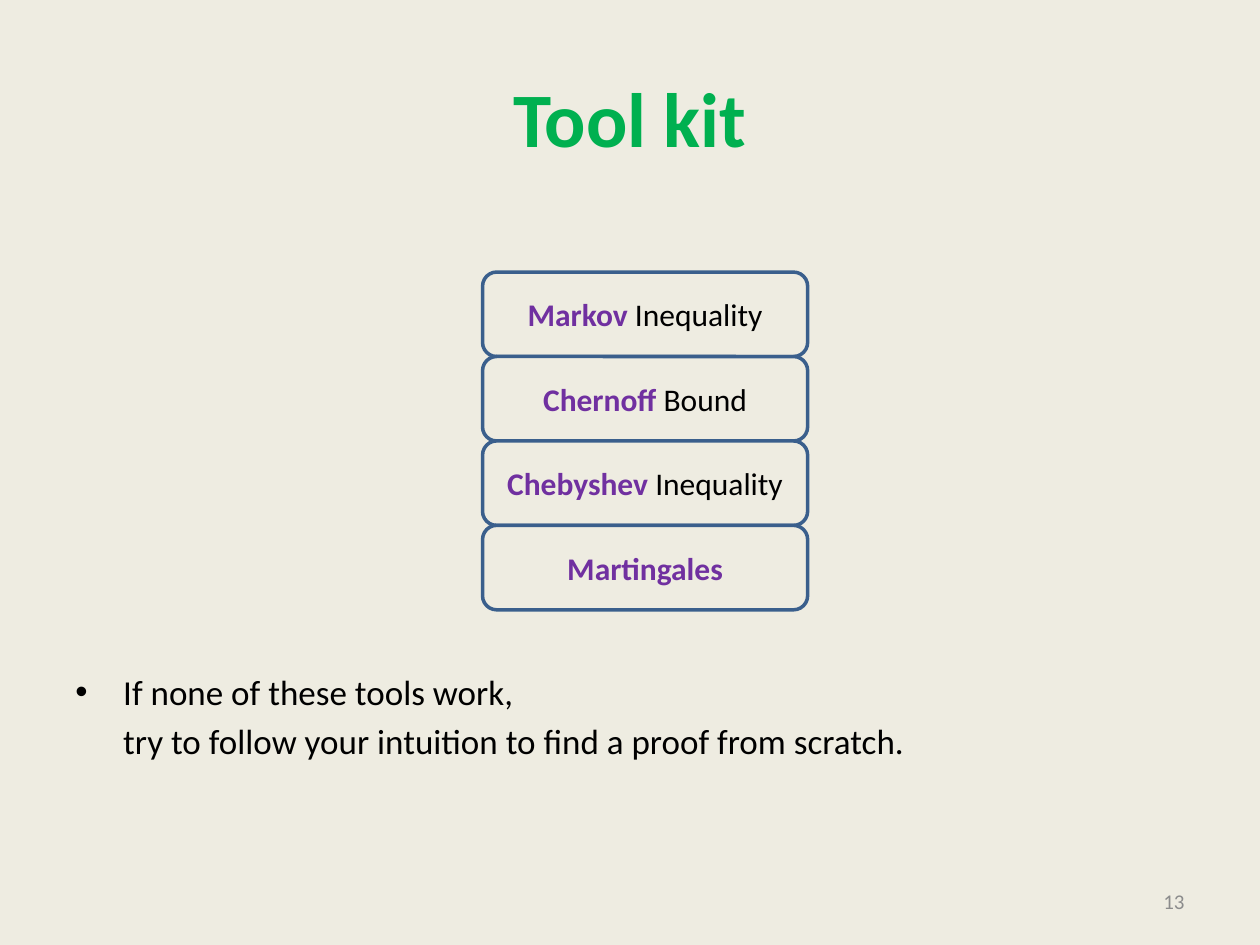
import pptx
import pptx.dml.color
import pptx.enum.shapes
import pptx.enum.text
import pptx.oxml
import pptx.oxml.ns
import pptx.util
from pptx.util import Inches

# Content
TITLE = "Tool kit"
TOOLS = [("Markov", " Inequality"), ("Chernoff", " Bound"),
         ("Chebyshev", " Inequality"), ("Martingales", "")]
ADVICE = ["If none of these tools work,",
          "try to follow your intuition to find a proof from scratch."]
PAGE_NUMBER = "13"

COLORS = {"background": "EEECE1", "title": "00B050", "name": "7030A0",
          "text": "000000", "outline": "3A5F8C", "number": "8C8C8C"}
FONT = "Calibri"
TOOL_LEFT, TOOL_TOP, TOOL_WIDTH, TOOL_HEIGHT = 3.83, 2.16, 2.58, 0.67
BULLET_INDENT = 0.38

ALIGN = pptx.enum.text.PP_ALIGN
ANCHOR = pptx.enum.text.MSO_ANCHOR


def rgb(name):
    return pptx.dml.color.RGBColor.from_string(COLORS[name])


def style(font, size, color, bold=False):
    font.name = FONT
    font.size = pptx.util.Pt(size)
    font.bold = bold
    font.color.rgb = rgb(color)


def add_text(slide, box, lines, size, color, align, anchor, bold=False):
    text_box = slide.shapes.add_textbox(*map(Inches, box))
    text_frame = text_box.text_frame
    text_frame.word_wrap = True
    text_frame.vertical_anchor = anchor
    text_frame.text = "\n".join(lines)
    for paragraph in text_frame.paragraphs:
        paragraph.alignment = align
        for run in paragraph.runs:
            style(run.font, size, color, bold)
    return text_frame


def add_tool(slide, index, name, kind):
    shape = slide.shapes.add_shape(
        pptx.enum.shapes.MSO_SHAPE.ROUNDED_RECTANGLE,
        Inches(TOOL_LEFT), Inches(TOOL_TOP + index * TOOL_HEIGHT),
        Inches(TOOL_WIDTH), Inches(TOOL_HEIGHT))
    shape.shadow.inherit = False
    shape.fill.solid()
    shape.fill.fore_color.rgb = rgb("background")
    shape.line.color.rgb = rgb("outline")
    shape.line.width = pptx.util.Pt(2)
    shape.text_frame.vertical_anchor = ANCHOR.MIDDLE
    paragraph = shape.text_frame.paragraphs[0]
    paragraph.alignment = ALIGN.CENTER
    for text, color, bold in ((name, "name", True), (kind, "text", False)):
        if text:
            run = paragraph.add_run()
            run.text = text
            style(run.font, 18, color, bold)


def main():
    presentation = pptx.Presentation()
    presentation.slide_width = Inches(10)
    presentation.slide_height = Inches(7.5)
    slide = presentation.slides.add_slide(presentation.slide_layouts[6])
    slide.background.fill.solid()
    slide.background.fill.fore_color.rgb = rgb("background")

    # Title
    add_text(slide, (0.5, 0.3, 9, 1.25), [TITLE], 44, "title",
             ALIGN.CENTER, ANCHOR.MIDDLE, bold=True)

    # Advice: a bulleted line and its continuation at the same indent
    advice = add_text(slide, (0.5, 5.27, 9, 1.43), ADVICE, 20, "text",
                      ALIGN.LEFT, ANCHOR.TOP)
    first, second = advice.paragraphs
    for paragraph in (first, second):
        paragraph._p.get_or_add_pPr().set("marL", str(Inches(BULLET_INDENT)))
    properties = first._p.get_or_add_pPr()
    properties.set("indent", str(-Inches(BULLET_INDENT)))
    namespace = pptx.oxml.ns.nsdecls("a")
    for xml in (f'<a:buFont {namespace} typeface="Arial"/>',
                f'<a:buChar {namespace} char="•"/>'):
        properties.append(pptx.oxml.parse_xml(xml))
    second.space_before = pptx.util.Pt(4)

    # Page number
    add_text(slide, (7.17, 6.95, 2.33, 0.4), [PAGE_NUMBER], 12, "number",
             ALIGN.RIGHT, ANCHOR.MIDDLE)

    # Stack of tools
    for index, (name, kind) in enumerate(TOOLS):
        add_tool(slide, index, name, kind)

    presentation.save("out.pptx")


if __name__ == "__main__":
    main()
